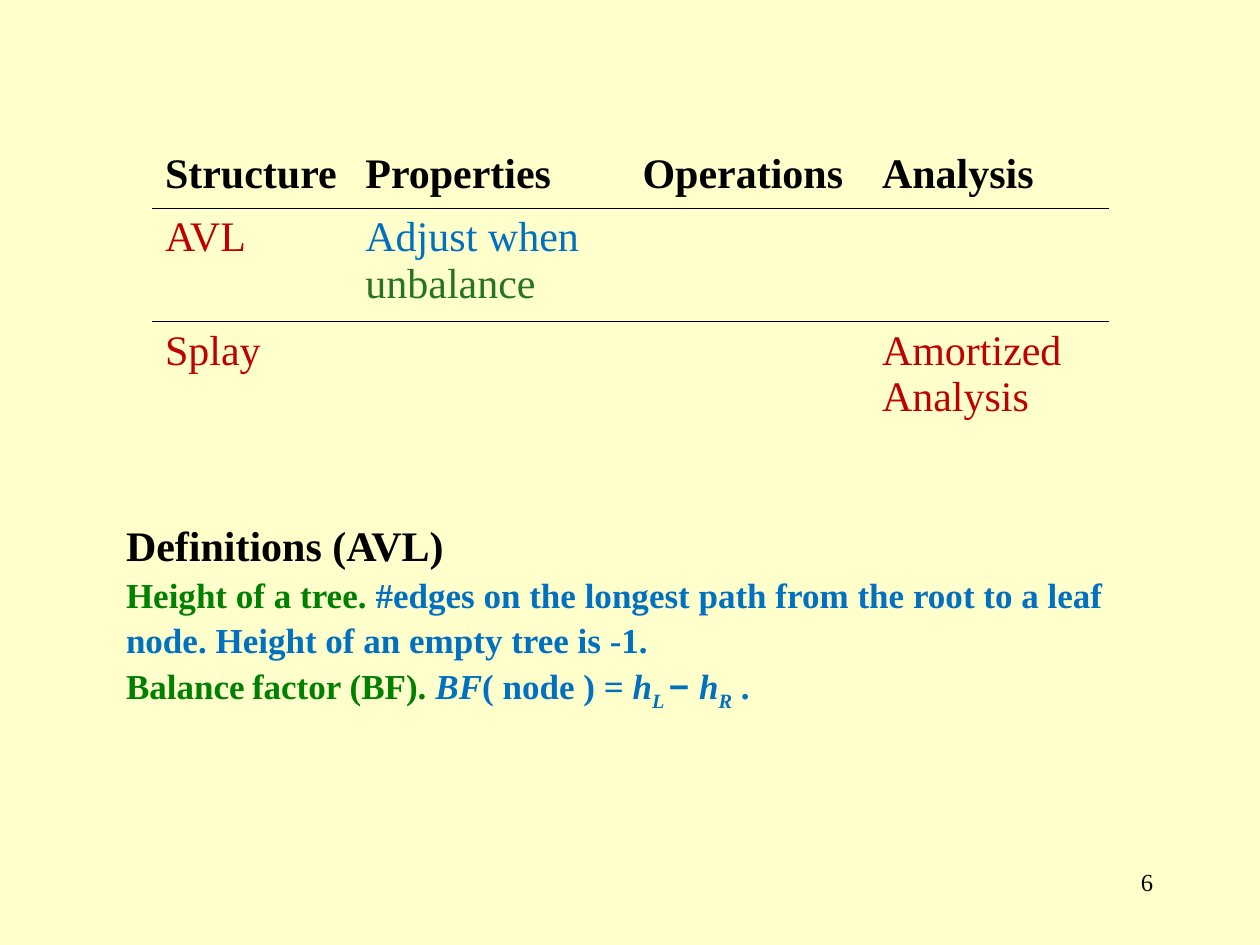
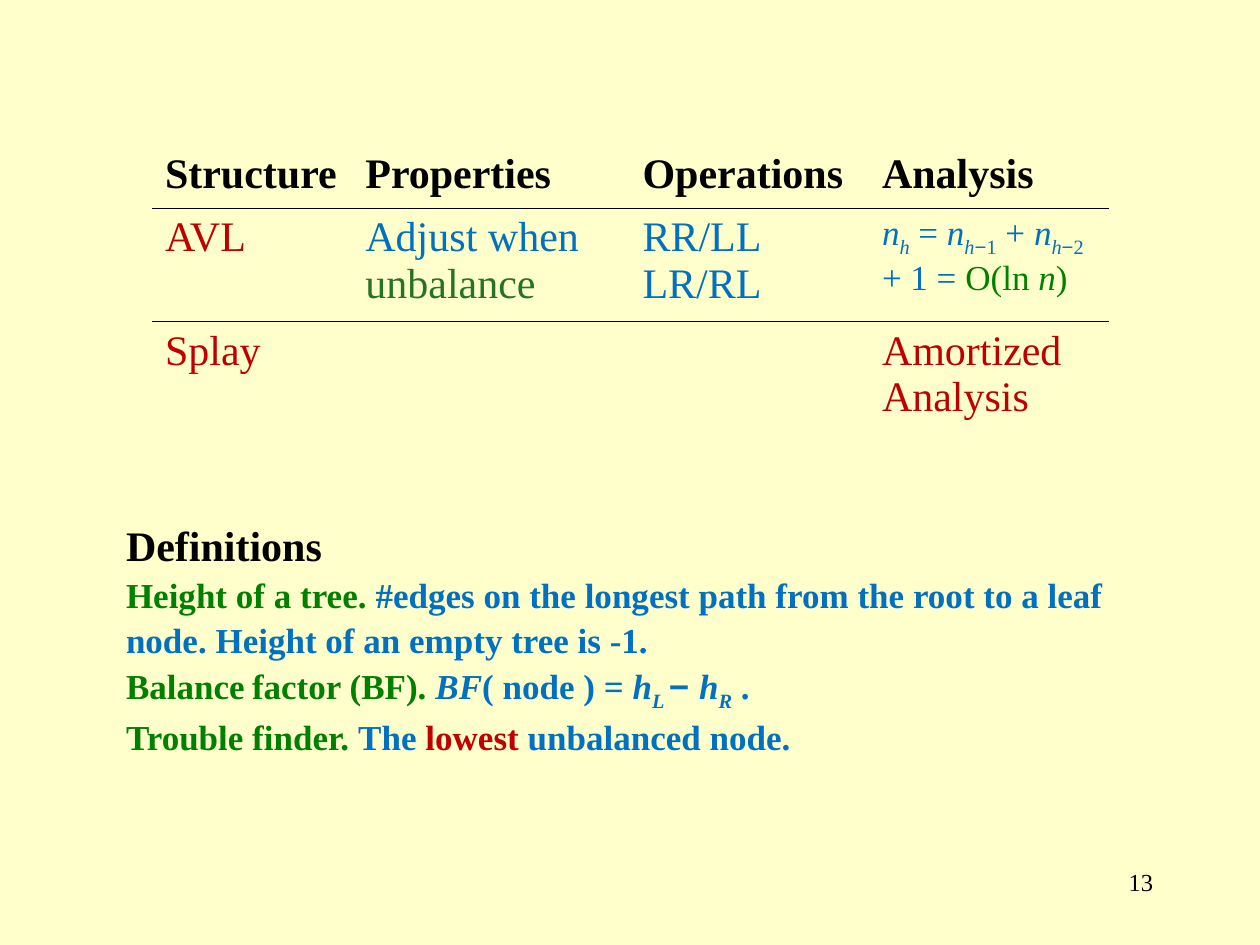
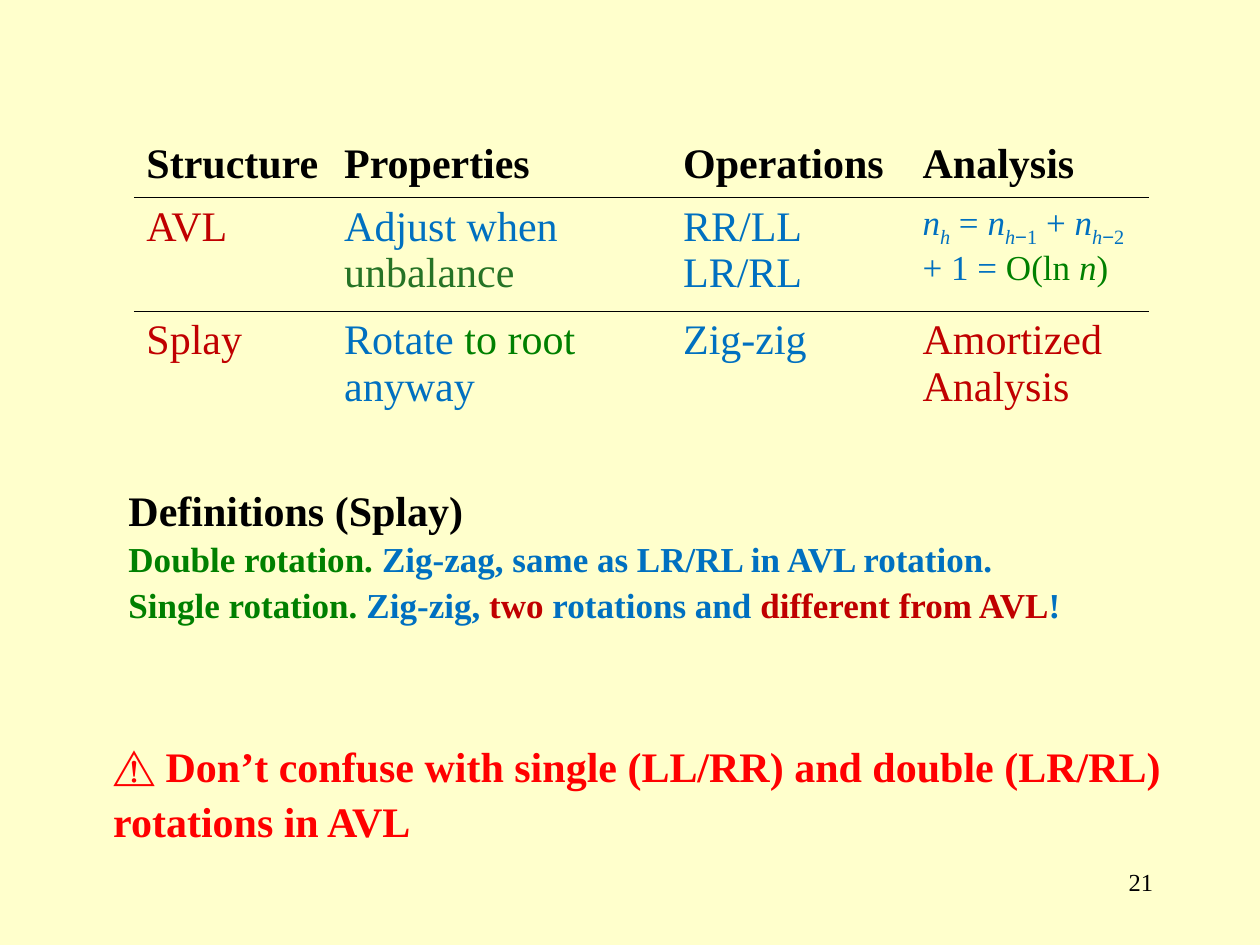
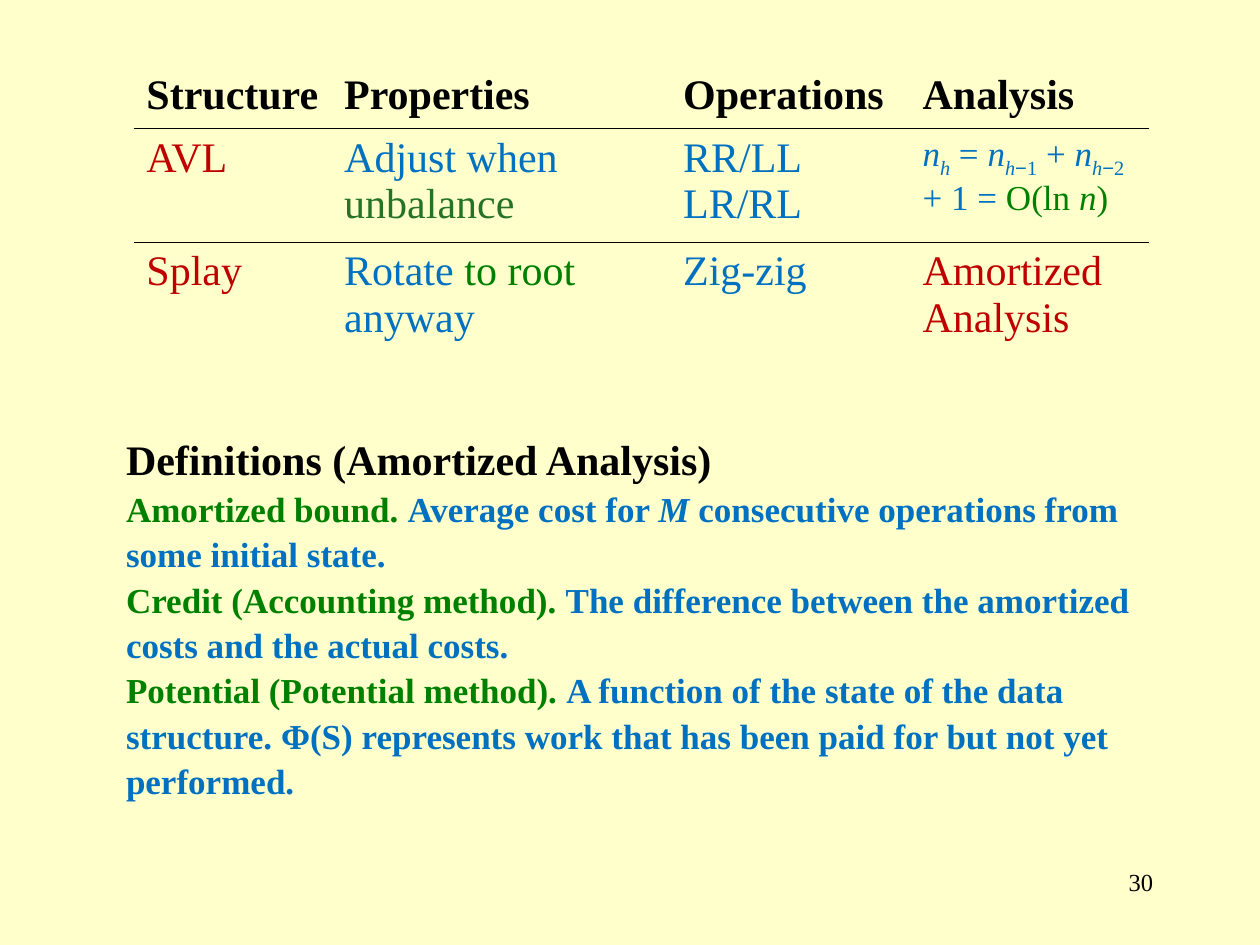
from collections import namedtuple
from dataclasses import dataclass

from lxml import etree
from pptx import Presentation
from pptx.dml.color import RGBColor
from pptx.enum.text import MSO_AUTO_SIZE, PP_ALIGN
from pptx.oxml.ns import qn
from pptx.util import Pt

RIGHT = PP_ALIGN.RIGHT
GROW = MSO_AUTO_SIZE.SHAPE_TO_FIT_TEXT
PLAIN_TABLE = "{2D5ABB26-0587-4C30-8999-92F81FD0307C}"

Run = namedtuple("Run", "text color italic sub font", defaults=(False, False, None))
Line = namedtuple("Line", "size runs")


@dataclass(frozen=True)
class Theme:
    paper: RGBColor = RGBColor.from_string("FFFFCC")
    ink: RGBColor = RGBColor.from_string("000000")
    red: RGBColor = RGBColor.from_string("C00000")
    blue: RGBColor = RGBColor.from_string("0070C0")
    green: RGBColor = RGBColor.from_string("008000")
    moss: RGBColor = RGBColor.from_string("267326")
    alert: RGBColor = RGBColor.from_string("FF0000")
    font: str = "Times New Roman"
    symbol_font: str = "Arial"
    large: int = 24
    medium: int = 20
    small: int = 14
    spacing: float = 1.08
    rule: float = 0.45


THEME = Theme()


class Deck:
    def __init__(self, theme):
        self.theme = theme
        self.prs = Presentation()
        self.prs.slide_width, self.prs.slide_height = Pt(720), Pt(540)
        background = self.prs.slide_master.background.fill
        background.solid()
        background.fore_color.rgb = theme.paper
        self.slide = None

    def start(self, number):
        self.slide = self.prs.slides.add_slide(self.prs.slide_layouts[1])
        title = self.slide.shapes.title
        title.element.getparent().remove(title.element)
        page_number = plain(str(number), self.theme.ink, self.theme.small)
        self.text((516.2, 491.8, 149.8, 36), [page_number], align=RIGHT)

    def set_lines(self, frame, lines, bold=False, spacing=None, align=None, listed=False):
        for index, line in enumerate(lines):
            para = frame.paragraphs[0] if index == 0 else frame.add_paragraph()
            if listed:
                props = para._p.get_or_add_pPr()
                props.set("marL", "0")
                props.set("indent", "0")
                etree.SubElement(props, qn("a:buNone"))
                para.space_before = Pt(0)
            para.line_spacing = spacing
            para.alignment = align
            para.font.name = self.theme.font
            para.font.size = Pt(line.size)
            para.font.bold = bold
            for part in line.runs:
                self.add_run(para, part)

    def add_run(self, para, part):
        run = para.add_run()
        run.text = part.text
        run.font.color.rgb = part.color
        if part.italic:
            run.font.italic = True
        if part.font:
            run.font.name = part.font
        if part.sub:
            run.font._element.set("baseline", "-25000")

    def text(self, box, lines, **style):
        area = self.slide.shapes.add_textbox(*map(Pt, box))
        area.text_frame.word_wrap = True
        self.set_lines(area.text_frame, lines, **style)
        return area

    def definitions(self, box, heading, entries):
        body = self.slide.placeholders[1]
        body.left, body.top, body.width, body.height = map(Pt, box)
        body.text_frame.auto_size = GROW
        lines = [plain(heading, self.theme.ink)]
        lines += [Line(self.theme.medium, entry) for entry in entries]
        self.set_lines(body.text_frame, lines, bold=True, spacing=self.theme.spacing, listed=True)

    def warning(self, box, message):
        area = self.text(box, [plain(message, self.theme.alert)], bold=True, spacing=self.theme.spacing)
        area.text_frame.auto_size = GROW

    def table(self, left, top, widths, rows):
        heights = (36, 64.8, 64.8)
        frame = self.slide.shapes.add_table(
            len(rows), len(widths), Pt(left), Pt(top), Pt(sum(widths)), Pt(sum(heights)))
        table = frame.table
        table.first_row = table.horz_banding = False
        table._tbl.tblPr.find(qn("a:tableStyleId")).text = PLAIN_TABLE
        for column, width in zip(table.columns, widths):
            column.width = Pt(width)
        for r, (row, height) in enumerate(zip(rows, heights)):
            table.rows[r].height = Pt(height)
            for c, lines in enumerate(row):
                cell = table.cell(r, c)
                cell.fill.background()
                self.set_lines(cell.text_frame, lines, bold=r == 0)
                if r < 2:
                    self.rule(cell, "a:lnB" if r == 0 else "a:lnT")

    def rule(self, cell, side):
        edge = etree.Element(qn(side), w=str(Pt(self.theme.rule)))
        fill = etree.SubElement(edge, qn("a:solidFill"))
        etree.SubElement(fill, qn("a:srgbClr"), val=str(self.theme.ink))
        cell._tc.get_or_add_tcPr().insert(0, edge)


def plain(text, color, size=THEME.large):
    return Line(size, [Run(text, color)])


def entry(term, *parts):
    return [Run(term + " ", THEME.green)] + [
        Run(part, THEME.blue) if isinstance(part, str) else part for part in parts]


def var(text, color=THEME.blue):
    return Run(text, color, italic=True)


def sub(text, italic=True, font=None):
    return Run(text, THEME.blue, italic, True, font)


def earlier_count(offset):
    return [var("n"), sub("h"), sub("−", False, THEME.symbol_font), sub(offset, False)]


HEADER = [[plain(name, THEME.ink)] for name in ("Structure", "Properties", "Operations", "Analysis")]
AVL = [plain("AVL", THEME.red)]
SPLAY = [plain("Splay", THEME.red)]
ADJUST = [Line(THEME.large, [Run("Adjust when ", THEME.blue), Run("unbalance", THEME.moss)])]
ROTATIONS = [plain("RR/LL", THEME.blue), plain("LR/RL", THEME.blue)]
RECURRENCE = [Line(THEME.medium, [
    var("n"), sub("h"), Run(" = ", THEME.blue), *earlier_count("1"),
    Run(" + ", THEME.blue), *earlier_count("2"), Run(" + 1 = ", THEME.blue),
    Run("O(ln ", THEME.green), var("n", THEME.green), Run(")", THEME.green)])]
ROTATE = [Line(THEME.large, [
    Run("Rotate ", THEME.blue), Run("to root ", THEME.green), Run("anyway", THEME.blue)])]
ZIG_ZIG = [plain("Zig-zig", THEME.blue)]
AMORTIZED = [plain("Amortized Analysis", THEME.red)]

SPLAY_OPEN = [SPLAY, [], [], AMORTIZED]
AVL_FULL = [AVL, ADJUST, ROTATIONS, RECURRENCE]
AVL_STAGE = [HEADER, [AVL, ADJUST, [], []], SPLAY_OPEN]
ANALYSIS_STAGE = [HEADER, AVL_FULL, SPLAY_OPEN]
FULL_STAGE = [HEADER, AVL_FULL, [SPLAY, ROTATE, ZIG_ZIG, AMORTIZED]]

NARROW = (114.5, 158.4, 136.8, 136.8)
WIDE = (113, 193.7, 136.8, 136.8)

TREE_TERMS = [
    entry("Height of a tree.",
          "#edges on the longest path from the root to a leaf node. Height of an empty tree is -1."),
    entry("Balance\tfactor (BF).", var("BF"), "( node ) = ", var("h"), sub("L "),
          Run("− ", THEME.blue, font=THEME.symbol_font), var("h"), sub("R"), " ."),
]
TROUBLE = entry("Trouble finder.", "The ", Run("lowest", THEME.red), " unbalanced node.")
SPLAY_TERMS = [
    entry("Double rotation.", "Zig-zag, same as LR/RL in AVL rotation."),
    entry("Single rotation.", "Zig-zig, ", Run("two", THEME.red), " rotations and ",
          Run("different from AVL", THEME.red), "!"),
]
COST_TERMS = [
    entry("Amortized bound.", "Average cost for ", var("M"),
          " consecutive operations from some initial state."),
    entry("Credit (Accounting method).",
          "The difference between the amortized costs and the actual costs."),
    entry("Potential (Potential method).",
          "A function of the state of the data structure. "
          "Φ(S) represents work that has been paid for but not yet performed."),
]


def main():
    deck = Deck(THEME)

    deck.start(6)
    deck.table(87.1, 82.8, NARROW, AVL_STAGE)
    deck.definitions((64.8, 290.9, 601.2, 111.6), "Definitions (AVL)", TREE_TERMS)

    deck.start(13)
    deck.table(87.1, 82.8, NARROW, ANALYSIS_STAGE)
    deck.definitions((64.8, 290.9, 601.2, 159.8), "Definitions", TREE_TERMS + [TROUBLE])

    deck.start(21)
    deck.table(76.5, 77, WIDE, FULL_STAGE)
    deck.definitions((66.2, 270.7, 601.2, 84.2), "Definitions (Splay)", SPLAY_TERMS)
    deck.warning((57.6, 417.6, 631.4, 64.8),
                 "⚠️ Don’t confuse with single (LL/RR) and double (LR/RL) rotations in AVL")

    deck.start(30)
    deck.table(76.5, 37.4, WIDE, FULL_STAGE)
    deck.definitions((64.8, 241.9, 601.2, 228.2), "Definitions (Amortized Analysis)", COST_TERMS)

    deck.prs.save("out.pptx")


if __name__ == "__main__":
    main()
